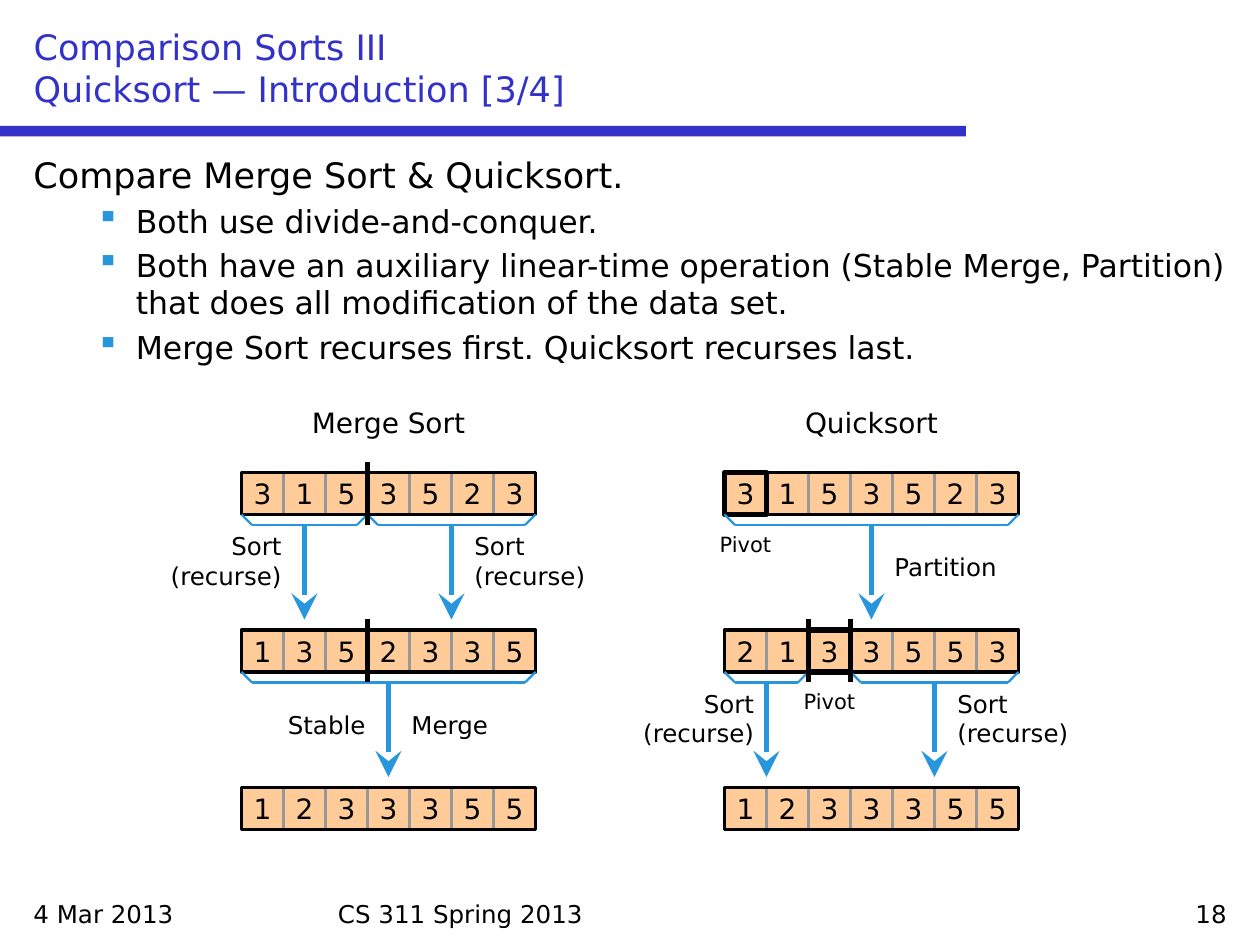
from lxml import etree
from pptx import Presentation
from pptx.dml.color import RGBColor
from pptx.enum.shapes import MSO_CONNECTOR, MSO_SHAPE
from pptx.enum.text import MSO_ANCHOR, MSO_AUTO_SIZE, PP_ALIGN
from pptx.oxml.ns import qn
from pptx.util import Pt

LEFT, CENTER, RIGHT = PP_ALIGN.LEFT, PP_ALIGN.CENTER, PP_ALIGN.RIGHT
RECT, STRAIGHT = MSO_SHAPE.RECTANGLE, MSO_CONNECTOR.STRAIGHT
FONT = "DejaVu Sans"
COLORS = {name: RGBColor.from_string(value) for name, value in {
    "title": "3232C8", "text": "000000", "accent": "2896DC",
    "cell": "FFCC99", "grid": "989898",
}.items()}

CELL = 24
MERGE_X, QUICK_X = 138, 414
ROWS = (270, 360, 450)

prs = Presentation()
prs.slide_width, prs.slide_height = Pt(720), Pt(540)
s = prs.slides.add_slide(prs.slide_layouts[5])


def write(sp, text, size, align=LEFT, color="text", wrap=True):
    tf = sp.text_frame
    tf.text = text
    tf.word_wrap = wrap
    for p in tf.paragraphs:
        p.alignment = align
        for r in p.runs:
            r.font.name = FONT
            r.font.size = Pt(size)
            r.font.color.rgb = COLORS[color]


def line(x1, y1, x2, y2, color, width, arrow=False):
    ln = s.shapes.add_connector(STRAIGHT, Pt(x1), Pt(y1), Pt(x2), Pt(y2))
    ln.line.color.rgb = COLORS[color]
    ln.line.width = Pt(width)
    if arrow:
        etree.SubElement(ln.line._get_or_add_ln(), qn("a:tailEnd"),
                         type="stealth", w="lg", len="lg")
    etree.SubElement(ln._element.spPr, qn("a:effectLst"))


# Title and rule
rule = s.shapes.add_shape(RECT, 0, Pt(72), Pt(552), Pt(6))
rule.shadow.inherit = False
rule.fill.solid()
rule.fill.fore_color.rgb = COLORS["title"]
rule.line.fill.background()

title = s.shapes.title
title.left, title.top, title.width, title.height = Pt(12), Pt(12), Pt(696), Pt(54)
write(title, "Comparison Sorts III\vQuicksort — Introduction [3/4]", 20, color="title")
title.text_frame.vertical_anchor = MSO_ANCHOR.BOTTOM
title.text_frame.auto_size = MSO_AUTO_SIZE.NONE

# Body text
body = s.shapes.add_textbox(Pt(12), Pt(84), Pt(696), Pt(420))
write(body, "Compare Merge Sort & Quicksort.\n"
            "Both use divide-and-conquer.\n"
            "Both have an auxiliary linear-time operation (Stable Merge, Partition) "
            "that does all modification of the data set.\n"
            "Merge Sort recurses first. Quicksort recurses last.", 18)
heading, *bullets = body.text_frame.paragraphs
heading.runs[0].font.size = Pt(20)
heading.space_before = Pt(4)
for p in bullets:
    p.level = 1
    p.space_before = Pt(3.6)
    pPr = p._p.get_or_add_pPr()
    pPr.set("marL", str(Pt(58.5)))
    pPr.set("indent", str(Pt(-22.5)))
    bullet_color = etree.SubElement(pPr, qn("a:buClr"))
    etree.SubElement(bullet_color, qn("a:srgbClr"), val=str(COLORS["accent"]))
    etree.SubElement(pPr, qn("a:buChar"), char="▪")

# Arrays: left edge, top, values, pivot index
arrays = [
    (MERGE_X, ROWS[0], "3153523", None),
    (MERGE_X, ROWS[1], "1352335", None),
    (MERGE_X, ROWS[2], "1233355", None),
    (QUICK_X, ROWS[0], "3153523", 0),
    (QUICK_X, ROWS[1], "2133553", 2),
    (QUICK_X, ROWS[2], "1233355", None),
]
for x, y, values, pivot in arrays:
    # The outline covers the plain cells, and the pivot covers the outline
    order = [i for i in range(len(values)) if i != pivot] + ["outline"]
    if pivot is not None:
        order.append(pivot)
    for i in order:
        outline = i == "outline"
        left, width = (x, CELL * len(values)) if outline else (x + CELL * i, CELL)
        sp = s.shapes.add_shape(RECT, Pt(left), Pt(y), Pt(width), Pt(CELL))
        sp.shadow.inherit = False
        sp.line.color.rgb = COLORS["text" if outline or i == pivot else "grid"]
        sp.line.width = Pt(2 if outline else 3 if i == pivot else 1.25)
        if outline:
            sp.fill.background()
        else:
            sp.fill.solid()
            sp.fill.fore_color.rgb = COLORS["cell"]
            write(sp, values[i], 16, CENTER, wrap=False)
            sp.text_frame.vertical_anchor = MSO_ANCHOR.MIDDLE

# Brackets with their arrows: array left, array top, first cell, end cell, arrow x
brackets = [
    (MERGE_X, ROWS[0], 0, 3, 174),
    (MERGE_X, ROWS[0], 3, 7, 258),
    (MERGE_X, ROWS[1], 0, 7, 222),
    (QUICK_X, ROWS[0], 0, 7, 498),
    (QUICK_X, ROWS[1], 0, 2, 438),
    (QUICK_X, ROWS[1], 3, 7, 534),
]
for x, y, first, end, arrow_x in brackets:
    left, right = x + CELL * first, x + CELL * end
    top, bottom = y + CELL, y + CELL + 6
    line(left, top, left + 6, bottom, "accent", 1.25)
    line(left + 6, bottom, right - 6, bottom, "accent", 1.25)
    line(right, top, right - 6, bottom, "accent", 1.25)
    line(arrow_x, bottom, arrow_x, bottom + 54, "accent", 3, arrow=True)

# Bars that split an array
for x, y, i in [(MERGE_X, ROWS[0], 3), (MERGE_X, ROWS[1], 3),
                (QUICK_X, ROWS[1], 2), (QUICK_X, ROWS[1], 3)]:
    line(x + CELL * i, y - 6, x + CELL * i, y + CELL + 6, "text", 3)

# Labels and footer: left, top, width, height, text, size, alignment
labels = [
    (MERGE_X, 228, 168, 27, "Merge Sort", 16, CENTER),
    (QUICK_X, 228, 168, 27, "Quicksort", 16, CENTER),
    (78, 300, 90, 42, "Sort (recurse)", 14, RIGHT),
    (264, 300, 90, 42, "Sort (recurse)", 14, LEFT),
    (126, 402, 90, 24, "Stable", 14, RIGHT),
    (228, 402, 90, 24, "Merge", 14, LEFT),
    (402, 300, 48, 22, "Pivot", 12, CENTER),
    (504, 312, 90, 24, "Partition", 14, LEFT),
    (348, 390, 90, 42, "Sort (recurse)", 14, RIGHT),
    (450, 390, 48, 22, "Pivot", 12, CENTER),
    (540, 390, 90, 42, "Sort (recurse)", 14, LEFT),
    (12, 510, 168, 24, "4 Mar 2013", 14, LEFT),
    (186, 510, 348, 24, "CS 311 Spring 2013", 14, LEFT),
    (540, 510, 168, 24, "18", 14, RIGHT),
]
for x, y, w, h, text, size, align in labels:
    write(s.shapes.add_textbox(Pt(x), Pt(y), Pt(w), Pt(h)), text, size, align)

prs.save("out.pptx")
